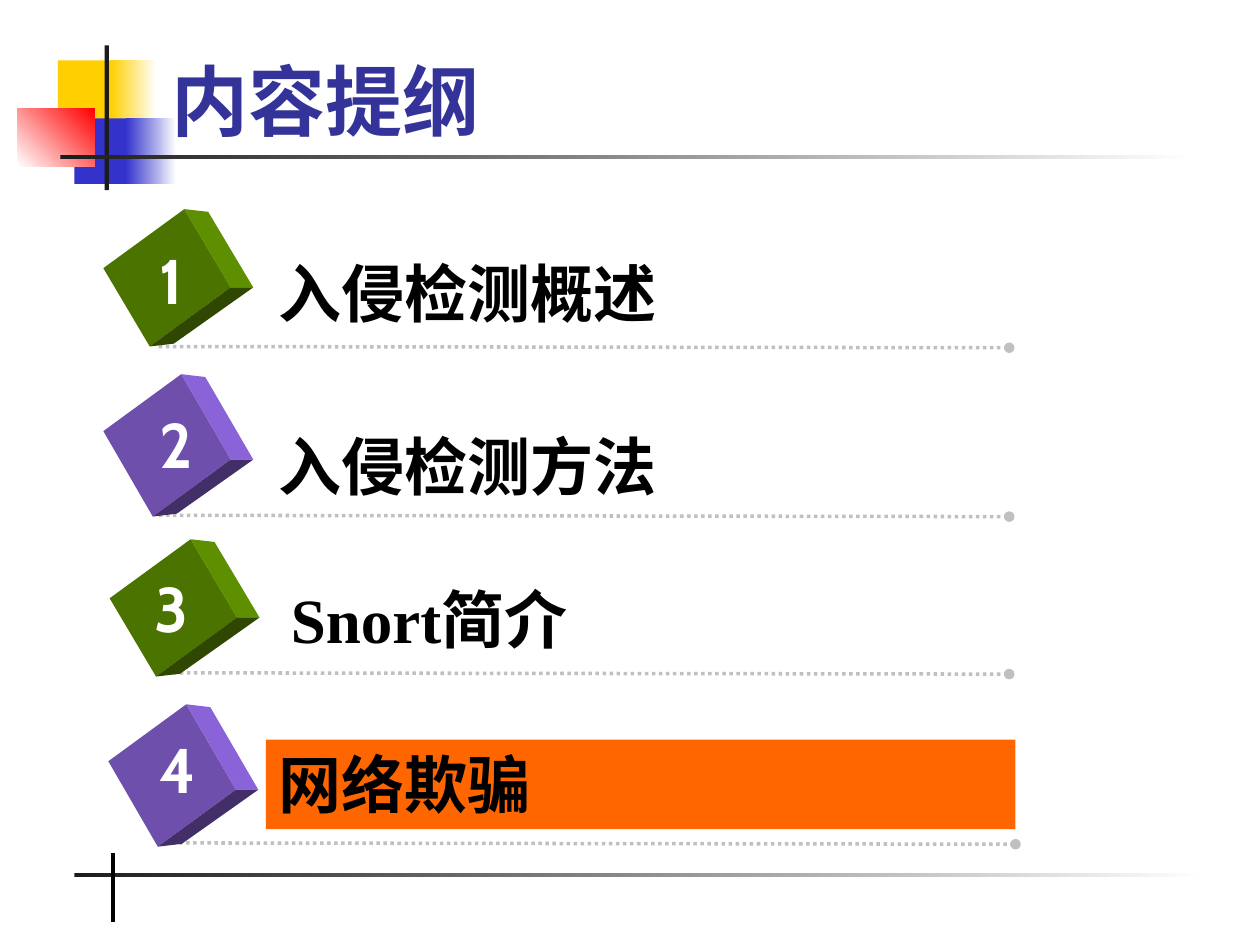
from lxml.etree import SubElement as Sub
from pptx import Presentation
from pptx.dml.color import RGBColor as Rgb
from pptx.enum.dml import MSO_LINE as Dash
from pptx.enum.shapes import MSO_CONNECTOR as Conn, MSO_SHAPE as Kind
from pptx.enum.text import MSO_ANCHOR as Anchor, MSO_AUTO_SIZE as Auto, PP_ALIGN as Align
from pptx.oxml.ns import qn
from pptx.util import Inches, Pt

HEX = {
    "gold": "FFCF01", "blue": "3333CC", "red": "FF0000", "white": "FFFFFF",
    "ink": "1C1C1C", "black": "000000", "dots": "C0C0C0", "title": "333399",
    "mark": "FF6600",
}
# Cube faces: front, side, base
GREEN = ("4B7300", "5E8F00", "2F4700")
PLUM = ("6E4FAB", "8A63D8", "432F68")
ROMAN, CABIN = "Times New Roman", "Cabin"

# The slide is a grid of 100 columns by 75 rows
deck = Presentation()
deck.slide_width, deck.slide_height = Inches(10), Inches(7.5)
CELL = deck.slide_width // 100
slide = deck.slides.add_slide(deck.slide_layouts[5])
shapes = slide.shapes


def grid(*cells):
    return [round(n * CELL) for n in cells]


def tint(name):
    return Rgb.from_string(HEX.get(name, name))


def paint(shape, color):
    shape.fill.solid()
    shape.fill.fore_color.rgb = tint(color)
    shape.line.fill.background()
    shape.shadow.inherit = False


def block(box, color, end=None, angle=0):
    """Rectangle, plain or fading from color to end."""
    rect = shapes.add_shape(Kind.RECTANGLE, *grid(*box))
    paint(rect, color)
    if end:
        rect.fill.gradient()
        rect.fill.gradient_angle = angle
        for stop, name in zip(rect.fill.gradient_stops, (color, end)):
            stop.color.rgb = tint(name)


def rule(x1, y1, x2, y2, color, width):
    line = shapes.add_connector(Conn.STRAIGHT, *grid(x1, y1, x2, y2))
    line.line.color.rgb = tint(color)
    line.line.width = Pt(width)
    Sub(line._element.spPr, qn("a:effectLst"))
    return line


def write(frame, text, size, font, color, align=Align.LEFT):
    para = frame.paragraphs[0]
    para.alignment = align
    run = para.add_run()
    run.text = text
    run.font.size, run.font.name, run.font.bold = Pt(size), font, True
    run.font.color.rgb = tint(color)


def label(box, text, font, color, align=Align.LEFT, fill=None, wrap=True):
    item = shapes.add_textbox(*grid(*box))
    if fill:
        paint(item, fill)
    item.text_frame.word_wrap = wrap
    item.text_frame.auto_size = Auto.SHAPE_TO_FIT_TEXT
    write(item.text_frame, text, 36, font, color, align)


def cube(box, tones, peak, left):
    """Tilted block; peak and left are shares of the box."""
    x, y, w, h = box
    foot, right = 0.85 - peak, 1 - left
    a, b, c, d = (0, left), (peak, 0), (0.85, right), (foot, 1)
    b2, c2, d2 = (peak + 0.16, 0.02), (1, right), (foot + 0.16, 0.98)
    faces = ((a, b, c, d), (b, b2, c2, c), (d, c, c2, d2))
    for face, tone in zip(faces, tones):
        dots = [grid(x + u * w, y + v * h) for u, v in face]
        pen = shapes.build_freeform(*dots[0])
        pen.add_line_segments(dots[1:], close=True)
        paint(pen.convert_to_shape(), tone)


def frame(x, y):
    """Corner squares and rules, from the top left of the motif."""
    block((x + 3.2, y + 1.2, 4.8, 5.2), "gold")
    block((x + 7.4, y + 1.2, 3.6, 5.2), "gold", "white")
    block((x + 4.5, y + 5.8, 4.6, 5.2), "blue")
    block((x + 8.6, y + 5.8, 4, 5.2), "blue", "white")
    block((x, y + 5, 6.1, 4.6), "white", "red", 45)
    block((x + 6.9, y, 0.35, 11.5), "ink")
    for left, top in ((x + 3.4, y + 8.7), (x + 4.5, y + 65.7)):
        block((left, top, 90, 0.3), "ink", "white")
    rule(x + 7.6, y + 64.1, x + 7.6, y + 69.6, "black", 2.25)


def head(box, text):
    title = shapes.title
    title.left, title.top, title.width, title.height = grid(*box)
    title.text_frame.vertical_anchor = Anchor.BOTTOM
    write(title.text_frame, text, 44, ROMAN, "title")


def topic(top, num, text, even, cx, nx, ny, tx, ty, lx, ly, font, fill):
    """One agenda row: dotted rule, cube, number and label."""
    line = rule(lx, top + ly, lx + 67.5, top + ly + 0.1, "dots", 2)
    line.line.dash_style = Dash.ROUND_DOT
    Sub(line.line._get_or_add_ln(), qn("a:tailEnd"), type="oval")
    if even:
        cube((cx, top, 11.9, 11.3), PLUM, 0.52, 0.4)
    else:
        cube((cx, top, 11.9, 10.9), GREEN, 0.54, 0.43)
    label((tx, top + ty, 80.6 - tx if fill else 80.1 - tx, 7.1),
          text, font, "black", fill=fill)
    label((nx, top + ny, 5.2, 7.1), str(num), CABIN, "white",
          Align.CENTER, wrap=num == 2)


# Text, cube x, number x y, label x y, rule x y, font, fill
TOPICS = (
    ("入侵检测概述", 8.2, 11, 2.1, 21.1, 3.1, 12.6, 10.9, ROMAN, None),
    ("入侵检测方法", 8.2, 11.4, 2, 21.1, 3.7, 12.6, 11.2, ROMAN, None),
    ("Snort简介", 8.7, 11, 1.9, 22.1, 2.8, 12.6, 10.6, ROMAN, None),
    ("网络欺骗", 8.6, 11.5, 1.6, 21.1, 2.8, 13.1, 11, CABIN, "mark"),
)

frame(1.4, 3.6)
head((12.6, 1.6, 85.2, 10.5), "内容提纲")
for i, (text, *spots) in enumerate(TOPICS):
    topic(16.6 + 13.1 * i, i + 1, text, i % 2, *spots)

deck.save("out.pptx")
